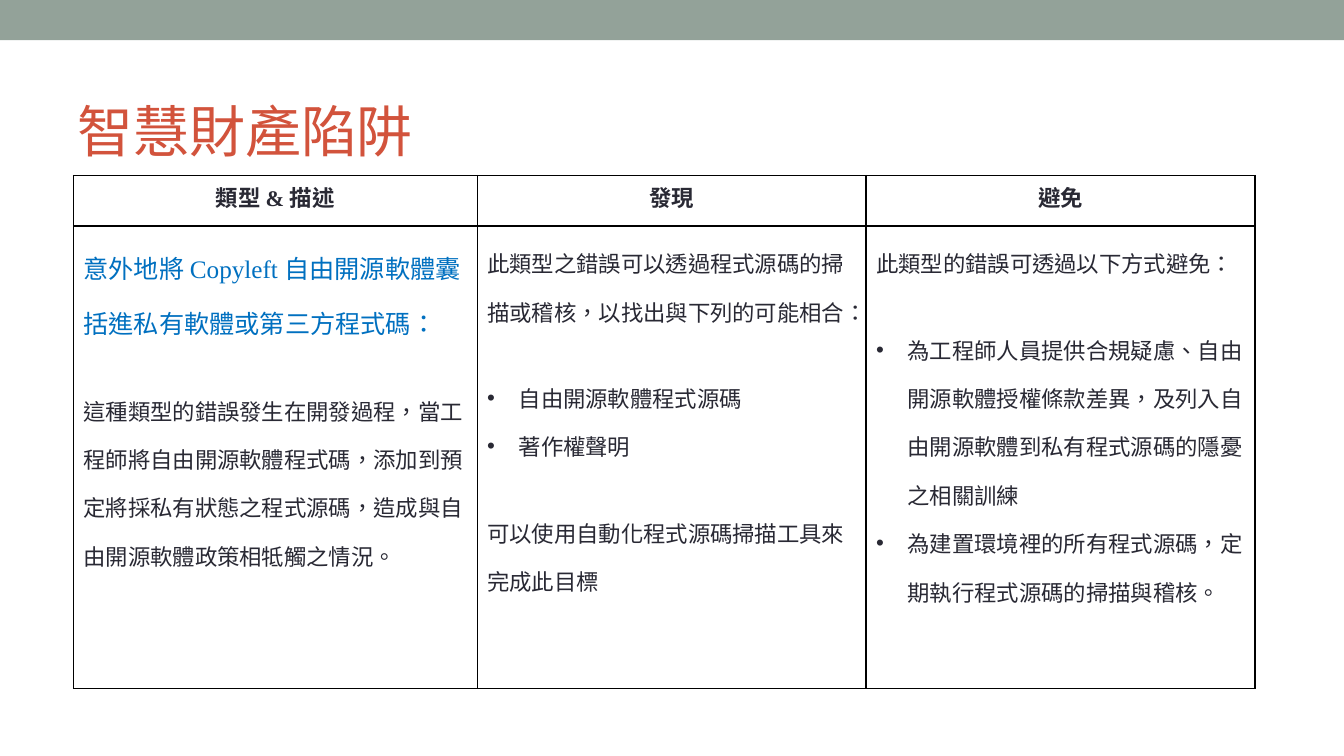
from dataclasses import dataclass

from lxml import etree
from pptx import Presentation
from pptx.dml.color import RGBColor
from pptx.enum.lang import MSO_LANGUAGE_ID
from pptx.enum.shapes import MSO_SHAPE
from pptx.enum.text import MSO_ANCHOR, MSO_AUTO_SIZE, PP_ALIGN
from pptx.oxml.ns import qn
from pptx.util import Pt

RECT = MSO_SHAPE.RECTANGLE
MIDDLE = MSO_ANCHOR.MIDDLE
LEFT, CENTER = PP_ALIGN.LEFT, PP_ALIGN.CENTER
NO_FIT = MSO_AUTO_SIZE.NONE
CHINESE = MSO_LANGUAGE_ID.TRADITIONAL_CHINESE

FONT = "Times New Roman"
BAR, TITLE, DARK, BLUE, BLACK = "93A299", "D2533C", "292934", "0070C0", "000000"
GAP = 27  # space before a new block of text
BULLET_INDENT = 22.5


@dataclass
class Para:
    text: str
    size: float = 16
    color: str = DARK
    bold: bool = False
    bullet: bool = False
    before: float = 0
    spacing: float = 1.5
    align: PP_ALIGN = LEFT


@dataclass
class Column:
    width: float
    heading: str
    body: list[Para]


COLUMNS = [
    Column(288.4, "類型 & 描述", [
        Para("意外地將 Copyleft 自由開源軟體囊括進私有軟體或第三方程式碼：", 18, BLUE),
        Para("這種類型的錯誤發生在開發過程，當工程師將自由開源軟體程式碼，添加到預定將採私有狀態之程式源碼，"
             "造成與自由開源軟體政策相牴觸之情況。", before=GAP),
    ]),
    Column(277.8, "發現", [
        Para("此類型之錯誤可以透過程式源碼的掃描或稽核，以找出與下列的可能相合："),
        Para("自由開源軟體程式源碼", bullet=True, before=GAP),
        Para("著作權聲明", bullet=True),
        Para("可以使用自動化程式源碼掃描工具來完成此目標", before=GAP),
    ]),
    Column(277.8, "避免", [
        Para("此類型的錯誤可透過以下方式避免："),
        Para("為工程師人員提供合規疑慮、自由開源軟體授權條款差異，及列入自由開源軟體到私有程式源碼的隱憂之相關訓練",
             bullet=True, before=GAP),
        Para("為建置環境裡的所有程式源碼，定期執行程式源碼的掃描與稽核。", bullet=True),
    ]),
]
ROW_HEIGHTS = [36, 330.5]


def rgb(value: str) -> RGBColor:
    return RGBColor.from_string(value)


def add_bullet(p) -> None:
    pPr = p._p.get_or_add_pPr()
    pPr.set("marL", str(Pt(BULLET_INDENT)))
    pPr.set("indent", str(-Pt(BULLET_INDENT)))
    etree.SubElement(pPr, qn("a:buFont"), typeface="Arial")
    etree.SubElement(pPr, qn("a:buChar"), char="•")


def write(tf, paras: list[Para]) -> None:
    for i, para in enumerate(paras):
        p = tf.add_paragraph() if i else tf.paragraphs[0]
        p.text = para.text
        p.alignment = para.align
        p.line_spacing = para.spacing
        if para.before:
            p.space_before = Pt(para.before)
        if para.bullet:
            add_bullet(p)
        for r in p.runs:
            r.font.name = FONT
            r.font.size = Pt(para.size)
            r.font.bold = para.bold
            r.font.color.rgb = rgb(para.color)
            r.font.language_id = CHINESE


def format_cell(cell) -> None:
    cell.fill.background()
    tcPr = cell._tc.get_or_add_tcPr()
    for i, side in enumerate(("lnL", "lnR", "lnT", "lnB")):
        ln = etree.Element(qn(f"a:{side}"), w=str(Pt(1)))
        fill = etree.SubElement(ln, qn("a:solidFill"))
        etree.SubElement(fill, qn("a:srgbClr"), val=BLACK)
        tcPr.insert(i, ln)


def add_columns(slide, left: float, top: float) -> None:
    width = sum(c.width for c in COLUMNS)
    table = slide.shapes.add_table(
        len(ROW_HEIGHTS), len(COLUMNS), Pt(left), Pt(top), Pt(width), Pt(sum(ROW_HEIGHTS))).table
    table.first_row = table.horz_banding = False
    for row, height in zip(table.rows, ROW_HEIGHTS):
        row.height = Pt(height)
    for i, column in enumerate(COLUMNS):
        table.columns[i].width = Pt(column.width)
        heading = Para(column.heading, bold=True, spacing=1, align=CENTER)
        for row, paras in enumerate(([heading], column.body)):
            cell = table.cell(row, i)
            format_cell(cell)
            write(cell.text_frame, paras)


def main() -> None:
    prs = Presentation()
    prs.slide_width, prs.slide_height = Pt(960), Pt(540)
    slide = prs.slides.add_slide(prs.slide_layouts[5])

    # Top bar
    bar = slide.shapes.add_shape(RECT, 0, 0, prs.slide_width, Pt(28.8))
    bar.shadow.inherit = False
    bar.fill.solid()
    bar.fill.fore_color.rgb = rgb(BAR)
    bar.line.fill.background()

    # Title
    title = slide.shapes.title
    title.left, title.top, title.width, title.height = Pt(48), Pt(42), Pt(864), Pt(78)
    tf = title.text_frame
    tf.auto_size = NO_FIT
    tf.vertical_anchor = MIDDLE
    write(tf, [Para("智慧財產陷阱", 40, TITLE)])

    # Table
    add_columns(slide, 52.4, 125.4)

    prs.save("out.pptx")


if __name__ == "__main__":
    main()
